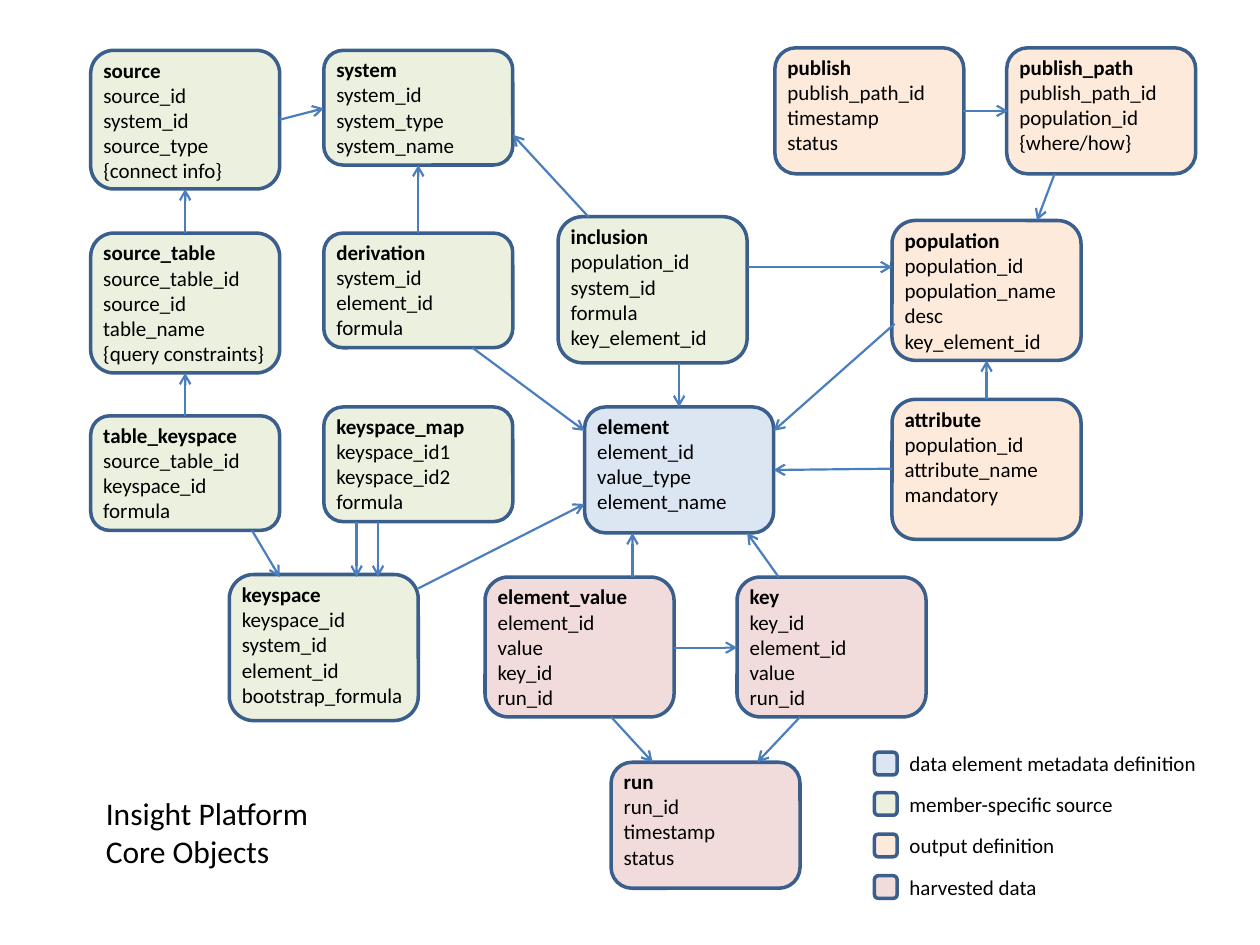
from lxml.etree import SubElement
from pptx import Presentation
from pptx.dml.color import RGBColor
from pptx.enum.shapes import MSO_CONNECTOR, MSO_SHAPE
from pptx.enum.text import MSO_ANCHOR, MSO_AUTO_SIZE, PP_ALIGN
from pptx.oxml.ns import qn
from pptx.util import Inches, Pt

COLORS = {
    "element": "DCE6F2", "source": "EBF1DE", "output": "FDEADA",
    "harvest": "F2DCDB", "border": "3A5F8C", "arrow": "4B7EBC", "text": "000000",
}
CORNER_INSET = 0.16667 * 0.29289
BOX_W = 1.5

ENTITIES = [
    ("source", 0.72, 0.4, 1.1, "source source_id system_id source_type {connect info}"),
    ("source", 0.72, 1.85, 1.11,
     "source_table source_table_id source_id table_name {query constraints}"),
    ("source", 0.72, 3.3, 0.91, "table_keyspace source_table_id keyspace_id formula"),
    ("source", 2.57, 0.4, 0.91, "system system_id system_type system_name"),
    ("source", 2.57, 1.85, 0.91, "derivation system_id element_id formula"),
    ("source", 2.57, 3.23, 0.91, "keyspace_map keyspace_id1 keyspace_id2 formula"),
    ("source", 1.82, 4.56, 1.16,
     "keyspace keyspace_id system_id element_id bootstrap_formula"),
    ("source", 4.43, 1.72, 1.16,
     "inclusion population_id system_id formula key_element_id"),
    ("element", 4.64, 3.23, 1, "element element_id value_type element_name"),
    ("harvest", 3.85, 4.58, 1.11, "element_value element_id value key_id run_id"),
    ("harvest", 5.85, 4.58, 1.11, "key key_id element_id value run_id"),
    ("harvest", 4.85, 6.05, 1, "run run_id timestamp status"),
    ("output", 6.15, 0.38, 1, "publish publish_path_id timestamp status"),
    ("output", 7.99, 0.38, 1, "publish_path publish_path_id population_id {where/how}"),
    ("output", 7.08, 1.75, 1.11,
     "population population_id population_name desc key_element_id"),
    ("output", 7.08, 3.17, 1.11, "attribute population_id attribute_name mandatory"),
]

ARROWS = [
    (2.22, 0.95, 2.57, 0.86), (1.47, 1.85, 1.47, 1.5), (1.47, 3.3, 1.47, 2.96),
    (3.32, 1.85, 3.32, 1.31), (4.67, 1.72, 4.07, 1.07), (5.94, 2.12, 7.08, 2.12),
    (5.39, 2.88, 5.39, 3.23), (3.75, 2.76, 4.64, 3.42), (3.32, 4.67, 4.64, 4),
    (2, 4.21, 2.22, 4.58), (2.83, 4.14, 2.83, 4.58), (3, 4.14, 3, 4.58),
    (7.64, 0.88, 8, 0.88), (8.37, 1.38, 8.23, 1.75), (7.1, 2.57, 6.14, 3.42),
    (7.83, 3.17, 7.83, 2.86), (7.08, 3.72, 6.14, 3.73), (5.02, 4.58, 5.02, 4.23),
    (6.18, 4.58, 5.93, 4.23), (5.35, 5.14, 5.85, 5.14), (4.85, 5.69, 5.18, 6.05),
    (6.35, 5.69, 6.01, 6.05),
]

LEGEND = [
    ("element", 5.97, "data element metadata definition"),
    ("source", 6.29, "member-specific source"),
    ("output", 6.62, "output definition"),
    ("harvest", 6.95, "harvested data"),
]


def rgb(name):
    """Return the named colour."""
    return RGBColor.from_string(COLORS[name])


def write_lines(tf, lines, size=12, bold_first=False, **frame):
    """Fill a text frame with one left-aligned paragraph per line."""
    settings = {"word_wrap": True, "auto_size": MSO_AUTO_SIZE.NONE,
                "vertical_anchor": MSO_ANCHOR.TOP, **frame}
    for attr, value in settings.items():
        setattr(tf, attr, value)
    for i, line in enumerate(lines):
        p = tf.paragraphs[0] if i == 0 else tf.add_paragraph()
        p.alignment = PP_ALIGN.LEFT
        r = p.add_run()
        r.text = line
        font = {"name": "Calibri", "size": Pt(size), "bold": bold_first and i == 0}
        for attr, value in font.items():
            setattr(r.font, attr, value)
        r.font.color.rgb = rgb("text")


def add_round_box(s, group, left, top, width, height):
    """Add a bordered rounded box in the colour of its group."""
    sp = s.shapes.add_shape(MSO_SHAPE.ROUNDED_RECTANGLE, Inches(left), Inches(top),
                            Inches(width), Inches(height))
    sp.shadow.inherit = False
    sp.fill.solid()
    sp.fill.fore_color.rgb = rgb(group)
    sp.line.color.rgb = rgb("border")
    sp.line.width = Pt(2)
    return sp


def add_entity(s, group, left, top, height, names):
    """Add an entity box with its bold name and its fields."""
    sp = add_round_box(s, group, left, top, BOX_W, height)
    inset = CORNER_INSET * height
    head, brace, note = names.partition(" {")
    lines = head.split() + (["{" + note] if brace else [])
    write_lines(sp.text_frame, lines, bold_first=True,
                margin_left=Inches(0.1 - inset), margin_right=0,
                margin_top=Inches(max(0, 0.05 - inset)), margin_bottom=0)


def add_arrow(s, x1, y1, x2, y2):
    """Add an open-headed arrow between two points."""
    line = s.shapes.add_connector(MSO_CONNECTOR.STRAIGHT, Inches(x1), Inches(y1),
                                  Inches(x2), Inches(y2))
    line.line.color.rgb = rgb("arrow")
    line.line.width = Pt(1.25)
    SubElement(line.line._get_or_add_ln(), qn("a:tailEnd"), type="arrow")
    SubElement(line._element.spPr, qn("a:effectLst"))


def add_legend(s, left):
    """Add the colour key, one swatch and label per group."""
    for group, top, label in LEGEND:
        add_round_box(s, group, left, top, 0.18, 0.18)
        tb = s.shapes.add_textbox(Inches(left + 0.18), Inches(top - 0.06),
                                  Inches(2.6), Inches(0.3))
        write_lines(tb.text_frame, [label])


def set_title(s, left, top, width, height):
    """Place and fill the title placeholder."""
    title = s.shapes.title
    box = {"left": left, "top": top, "width": width, "height": height}
    for attr, value in box.items():
        setattr(title, attr, Inches(value))
    write_lines(title.text_frame, ["Insight Platform", "Core Objects"], size=18,
                word_wrap=False)


def build():
    """Build the core objects diagram and save it."""
    prs = Presentation()
    prs.slide_width, prs.slide_height = Inches(10), Inches(7.5)
    s = prs.slides.add_slide(prs.slide_layouts[5])
    set_title(s, 0.74, 6.25, 1.83, 0.71)
    for entity in ENTITIES:
        add_entity(s, *entity)
    for arrow in ARROWS:
        add_arrow(s, *arrow)
    add_legend(s, 6.94)
    prs.save("out.pptx")


build()
